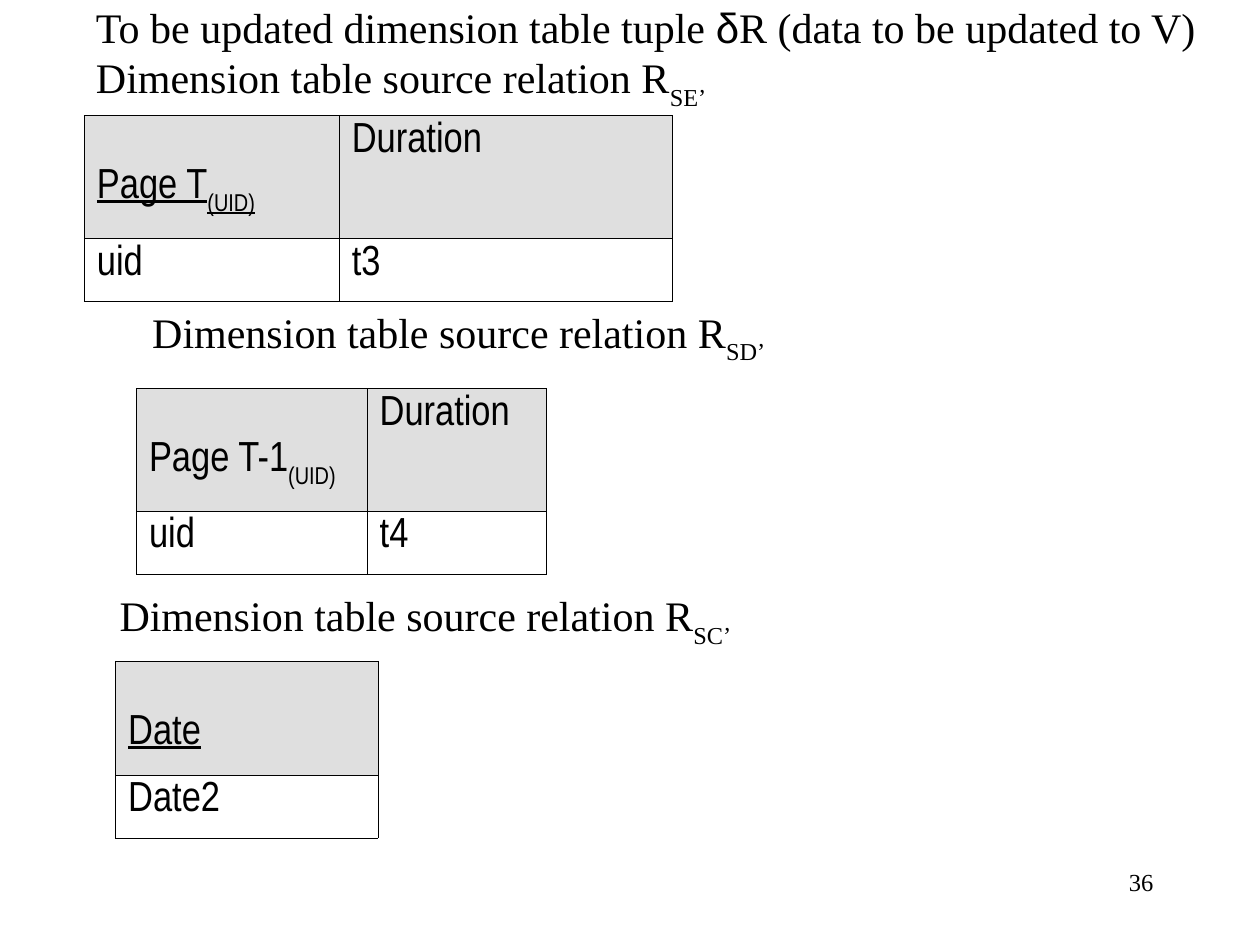
from dataclasses import dataclass

from lxml import etree
from pptx import Presentation
from pptx.dml.color import RGBColor
from pptx.enum import text as t
from pptx.oxml.ns import qn
from pptx.util import Cm, Pt


@dataclass(frozen=True)
class Theme:
    ink: str = "000000"
    head: str = "DFDFDF"
    serif: str = "Times New Roman"
    sans: str = "Arial"
    narrow: str = "Arial Narrow"
    size: int = 24
    small: int = 14
    rule: float = 0.45


@dataclass(frozen=True)
class Part:
    text: str
    sub: bool = False
    face: str = ""


@dataclass(frozen=True)
class Label:
    box: tuple[float, float, float, float]
    lines: list[list[Part]]


@dataclass(frozen=True)
class Grid:
    left: float
    top: float
    cols: list[float]
    head: float  # height of the header row
    key: list[Part]
    rest: list[str]
    row: list[str]
    under: bool = False


THEME = Theme()
LOW = 1.27  # row height below the header
DROP = 1.06  # the key name sits one line lower than its neighbour


def write(para, parts: list[Part], face: str, size: int = THEME.size) -> None:
    font = para.font
    font.name, font.size, font.bold = face, Pt(size), False
    font.color.rgb = RGBColor.from_string(THEME.ink)
    for part in parts:
        run = para.add_run()
        run.text = part.text
        if part.face:
            run.font.name = part.face
        if part.sub:
            run._r.get_or_add_rPr().set("baseline", "-30000")


def fill_label(shape, label: Label) -> None:
    shape.left, shape.top, shape.width, shape.height = map(Cm, label.box)
    frame = shape.text_frame
    frame.word_wrap = True
    frame.auto_size = t.MSO_AUTO_SIZE.NONE
    frame.vertical_anchor = t.MSO_ANCHOR.MIDDLE
    for i, line in enumerate(label.lines):
        para = frame.add_paragraph() if i else frame.paragraphs[0]
        para.alignment = t.PP_ALIGN.LEFT
        write(para, line, THEME.serif)


def edge(cell) -> None:
    props = cell._tc.get_or_add_tcPr()
    for side in ("lnL", "lnR", "lnT", "lnB"):
        line = etree.SubElement(props, qn(f"a:{side}"), w=str(Pt(THEME.rule)))
        fill = etree.SubElement(line, qn("a:solidFill"))
        etree.SubElement(fill, qn("a:srgbClr"), val=THEME.ink)


def draw_grid(slide, grid: Grid) -> None:
    table = slide.shapes.add_table(
        2, len(grid.cols), Cm(grid.left), Cm(grid.top),
        Cm(sum(grid.cols)), Cm(grid.head + LOW)).table
    table.first_row = table.horz_banding = False
    for col, width in zip(table.columns, grid.cols):
        col.width = Cm(width)
    for row, height in zip(table.rows, (grid.head, LOW)):
        row.height = Cm(height)

    head = [grid.key] + [[Part(name)] for name in grid.rest]
    body = [[Part(value)] for value in grid.row]
    for r, row in enumerate((head, body)):
        for c, parts in enumerate(row):
            cell = table.cell(r, c)
            edge(cell)
            write(cell.text_frame.paragraphs[0], parts, THEME.narrow)
            if r == 0:
                cell.fill.solid()
                cell.fill.fore_color.rgb = RGBColor.from_string(THEME.head)
            else:
                cell.fill.background()
    key = table.cell(0, 0)
    key.margin_top = Cm(DROP)
    key.text_frame.paragraphs[0].font.underline = grid.under


def source(sub: str) -> list[Part]:
    return [Part("Dimension table source relation R"), Part(sub, sub=True)]


TITLE = Label((1.68, -0.1, 23.2, 2.46), [
    [Part("To be updated dimension table tuple "), Part("δ", face=THEME.sans),
     Part("R (data to be updated to V)")],
    source("SE’")])
LABELS = [
    Label((2.82, 6.05, 13.5, 1.45), [source("SD’")]),
    Label((2.16, 11.76, 13.5, 1.45), [source("SC’")]),
]
UID = Part("(UID)", sub=True)
GRIDS = [
    Grid(1.7, 2.33, [5.14, 6.72], 2.47, [Part("Page T"), UID],
         ["Duration"], ["uid", "t3"], under=True),
    Grid(2.75, 7.83, [4.65, 3.61], 2.47, [Part("Page T-1"), UID],
         ["Duration"], ["uid", "t4"]),
    Grid(2.33, 13.33, [5.29], 2.29, [Part("Date")], [], ["Date2"], under=True),
]


def main() -> None:
    deck = Presentation()
    deck.slide_width, deck.slide_height = Cm(25.4), Cm(19.05)
    slide = deck.slides.add_slide(deck.slide_layouts[5])

    # Headings
    fill_label(slide.shapes.title, TITLE)
    for label in LABELS:
        fill_label(slide.shapes.add_textbox(0, 0, 0, 0), label)

    # Relations
    for grid in GRIDS:
        draw_grid(slide, grid)

    # Page number
    page = slide.shapes.add_textbox(Cm(18.2), Cm(17.35), Cm(5.3), Cm(1.27))
    page.text_frame.word_wrap = True
    para = page.text_frame.paragraphs[0]
    para.alignment = t.PP_ALIGN.RIGHT
    write(para, [Part("36")], THEME.serif, THEME.small)

    deck.save("out.pptx")


if __name__ == "__main__":
    main()
